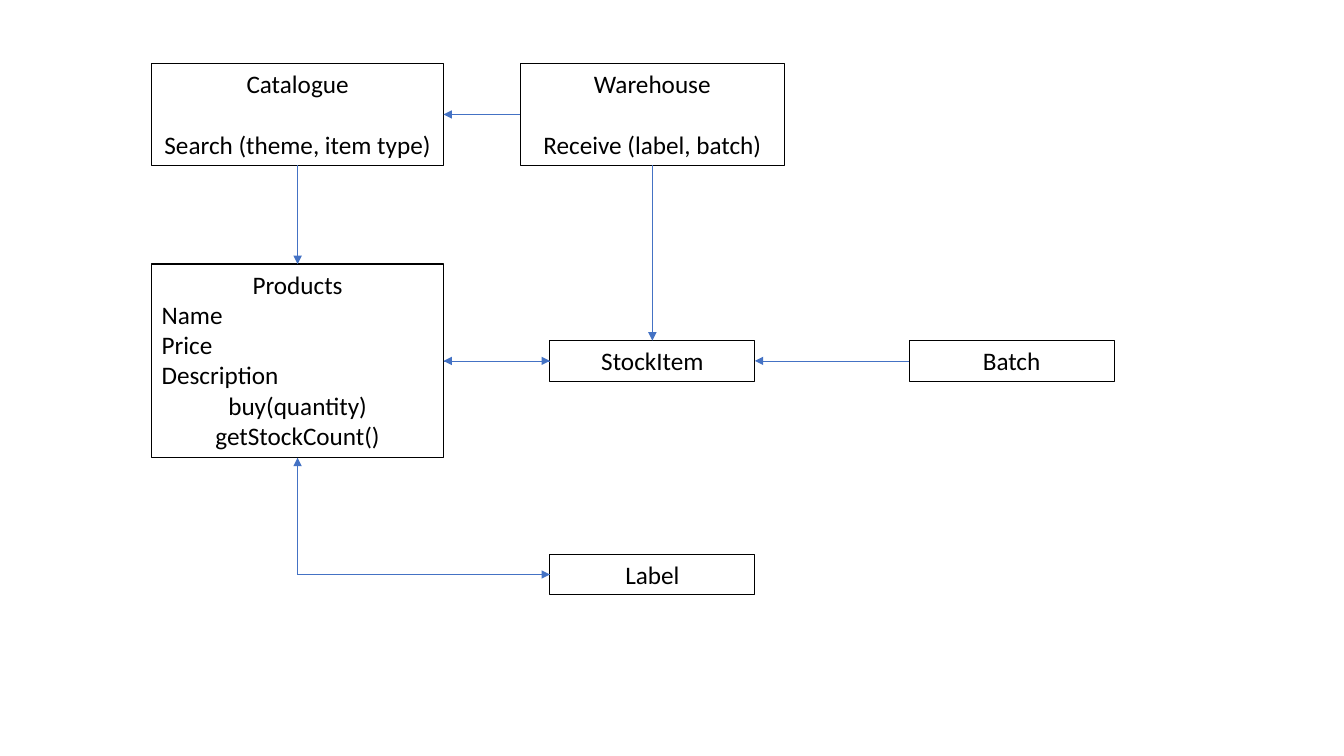
"""Build a class diagram slide of a shop's catalogue, products and stock."""
import pptx
import pptx.util
import pptx.dml.color
import pptx.enum.shapes
import pptx.enum.text
import pptx.oxml.ns
from lxml import etree

Pt = pptx.util.Pt
RGB = pptx.dml.color.RGBColor.from_string
ALIGN = pptx.enum.text.PP_ALIGN
CONNECTOR = pptx.enum.shapes.MSO_CONNECTOR
qn = pptx.oxml.ns.qn

THEME = {"font": "Calibri", "size": 18, "ink": "000000", "arrow": "4472C4",
         "box_line": 0.75, "arrow_line": 0.5, "blank_line": 22}

COLUMNS = {"left": 212.6, "middle": 466, "right": 722.6}
ROWS = {"top": 81.8, "centre": 257.8, "bottom": 410.4}
WIDE, MEDIUM, SMALL = (208.4, 72.7), (188.8, 72.7), (146.4, 29.1)
TALL = (208.4, 138.4)

BOXES = {
    "Warehouse": ("middle", "top", MEDIUM, [], ["Receive (label, batch)"]),
    "Catalogue": ("left", "top", WIDE, [], ["Search (theme, item type)"]),
    "Products": ("left", "centre", TALL, ["Name", "Price", "Description"],
                 ["buy(quantity)", "getStockCount()"]),
    "Label": ("middle", "bottom", SMALL, [], []),
    "StockItem": ("middle", "centre", SMALL, [], []),
    "Batch": ("right", "centre", SMALL, [], []),
}

TOP, LEFT, BOTTOM, RIGHT = range(4)
ARROWS = [
    ("Warehouse", LEFT, "Catalogue", RIGHT),
    ("Catalogue", BOTTOM, "Products", TOP),
    ("Warehouse", BOTTOM, "StockItem", TOP),
    ("Products", RIGHT, "StockItem", LEFT),
    ("StockItem", LEFT, "Products", RIGHT),
    ("Products", BOTTOM, "Label", LEFT),
    ("Label", LEFT, "Products", BOTTOM),
    ("Batch", LEFT, "StockItem", RIGHT),
]


def write(p, text, align=ALIGN.CENTER, before=0):
    """Put formatted text into a paragraph."""
    p.alignment = align
    p.space_before = Pt(before)
    r = p.add_run()
    r.text = text
    r.font.name = THEME["font"]
    r.font.size = Pt(THEME["size"])
    r.font.color.rgb = RGB(THEME["ink"])


def add_box(slide, title, column, row, size, attributes, methods):
    """Draw a class box centred on its column and row."""
    width, height = size
    sp = slide.shapes.add_shape(
        pptx.enum.shapes.MSO_SHAPE.RECTANGLE,
        Pt(COLUMNS[column] - width / 2), Pt(ROWS[row] - height / 2),
        Pt(width), Pt(height))
    sp.shadow.inherit = False
    sp.fill.background()
    sp.line.color.rgb = RGB(THEME["ink"])
    sp.line.width = Pt(THEME["box_line"])
    tf = sp.text_frame
    tf.word_wrap = True
    tf.auto_size = pptx.enum.text.MSO_AUTO_SIZE.SHAPE_TO_FIT_TEXT
    tf.vertical_anchor = pptx.enum.text.MSO_ANCHOR.TOP
    write(tf.paragraphs[0], title)
    for attribute in attributes:
        write(tf.add_paragraph(), attribute, align=ALIGN.LEFT)
    for method in methods:
        gap = 0 if attributes else THEME["blank_line"]
        write(tf.add_paragraph(), method, before=gap)
    return sp


def bend(cxn, down_first):
    """Give a connector a single corner at the lower left."""
    cxn._element.spPr.find(qn("a:prstGeom")).set("prst", "bentConnector2")
    if down_first:
        left, top, width, height = cxn.left, cxn.top, cxn.width, cxn.height
        cxn.left = left + (width - height) // 2
        cxn.top = top + (height - width) // 2
        cxn.width, cxn.height = height, width
        xfrm = cxn._element.spPr.find(qn("a:xfrm"))
        xfrm.set("rot", "16200000")
        xfrm.set("flipH", "1")


def add_arrow(slide, start, start_side, end, end_side):
    """Join two boxes with an arrow pointing at the second."""
    bent = start_side % 2 != end_side % 2
    kind = CONNECTOR.ELBOW if bent else CONNECTOR.STRAIGHT
    cxn = slide.shapes.add_connector(kind, 0, 0, 0, 0)
    cxn.begin_connect(start, start_side)
    cxn.end_connect(end, end_side)
    if bent:
        bend(cxn, start_side == BOTTOM)
    cxn.line.color.rgb = RGB(THEME["arrow"])
    cxn.line.width = Pt(THEME["arrow_line"])
    etree.SubElement(cxn.line._get_or_add_ln(), qn("a:tailEnd"), type="triangle")
    etree.SubElement(cxn._element.spPr, qn("a:effectLst"))


def main():
    """Assemble and save the slide."""
    prs = pptx.Presentation()
    prs.slide_width, prs.slide_height = Pt(960), Pt(540)
    slide = prs.slides.add_slide(prs.slide_layouts[6])
    boxes = {title: add_box(slide, title, *rest) for title, rest in BOXES.items()}
    for start, start_side, end, end_side in ARROWS:
        add_arrow(slide, boxes[start], start_side, boxes[end], end_side)
    prs.save("out.pptx")


if __name__ == "__main__":
    main()
